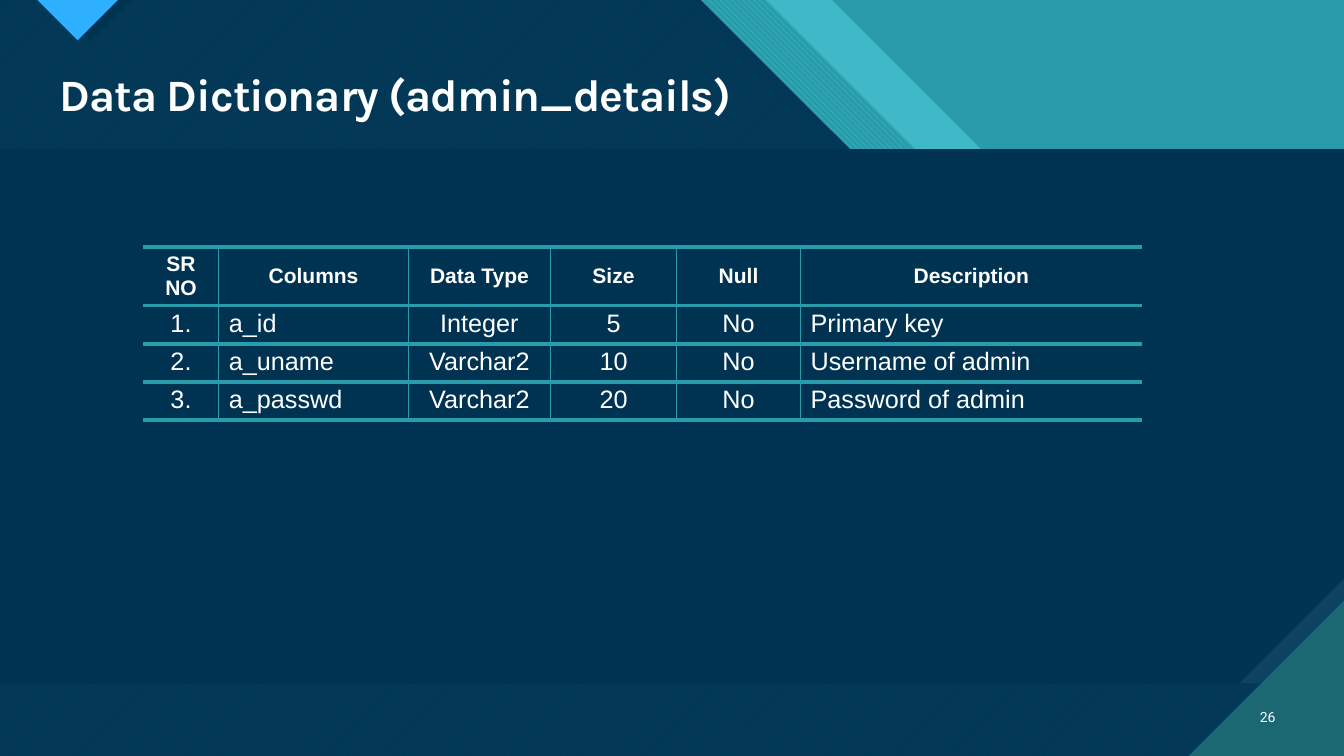
from dataclasses import dataclass

from lxml import etree
from pptx import Presentation
from pptx.dml.color import RGBColor
from pptx.enum.dml import MSO_PATTERN
from pptx.enum.text import MSO_ANCHOR, PP_ALIGN
from pptx.oxml.ns import qn
from pptx.util import Pt

PX = 9144  # EMU per px, 100 px to the inch
WIDTH, HEIGHT = 1333, 750
LEFT, CENTER, RIGHT = PP_ALIGN.LEFT, PP_ALIGN.CENTER, PP_ALIGN.RIGHT
TOP, MIDDLE = MSO_ANCHOR.TOP, MSO_ANCHOR.MIDDLE
DOWN_STRIPES = MSO_PATTERN.WIDE_DOWNWARD_DIAGONAL
UP_STRIPES = MSO_PATTERN.WIDE_UPWARD_DIAGONAL

WHITE, TEAL, AQUA = "FFFFFF", "299CAB", "47C3D3"
NAVY, STEEL, GREEN, BLUE = "003352", "0C4360", "1B6872", "2FAFFF"


@dataclass
class Area:
    """A filled outline on the slide background."""
    points: list[tuple[int, int]]
    color: str
    opacity: int = 100
    pattern: object = None
    back_color: str = ""


@dataclass
class Column:
    width: int
    align: object


def rgb(color: str) -> RGBColor:
    return RGBColor.from_string(color)


def header_layer(edge: int) -> list[tuple[int, int]]:
    """Slide-wide outline whose top right is cut away from x = edge."""
    notch = edge + 297
    corner = 297 + WIDTH - notch - 112
    return [(0, 0), (edge, 0), (notch, 297), (notch + 112, 297),
            (WIDTH, corner), (WIDTH, HEIGHT), (0, HEIGHT)]


def draw_area(slide, area: Area) -> None:
    start, *others = area.points
    builder = slide.shapes.build_freeform(*start, scale=PX)
    builder.add_line_segments(others, close=True)
    shape = builder.convert_to_shape()
    shape.shadow.inherit = False
    shape.line.fill.background()
    if area.pattern is not None:
        shape.fill.patterned()
        shape.fill.pattern = area.pattern
        shape.fill.fore_color.rgb = rgb(area.color)
        shape.fill.back_color.rgb = rgb(area.back_color)
        return
    shape.fill.solid()
    shape.fill.fore_color.rgb = rgb(area.color)
    if area.opacity < 100:
        color = shape._element.spPr.find(".//" + qn("a:srgbClr"))
        etree.SubElement(color, qn("a:alpha"), val=str(area.opacity * 1000))


def place(shape, left: int, top: int, width: int, height: int) -> None:
    shape.left, shape.top = left * PX, top * PX
    shape.width, shape.height = width * PX, height * PX


def write(frame, text: str, font: str, size: int, bold: bool, align) -> None:
    frame.text = text
    frame.word_wrap = True
    para = frame.paragraphs[0]
    para.alignment = align
    span = para.runs[0]
    span.font.name, span.font.size, span.font.bold = font, Pt(size), bold
    span.font.color.rgb = rgb(WHITE)


def set_border(cell, index: int, side: str, points: int) -> None:
    """Draw one cell side; zero points hides it."""
    line = etree.Element(qn(f"a:ln{side}"), w=str(Pt(points)))
    if points:
        fill = etree.SubElement(line, qn("a:solidFill"))
        etree.SubElement(fill, qn("a:srgbClr"), val=TEAL)
    else:
        etree.SubElement(line, qn("a:noFill"))
    cell._tc.get_or_add_tcPr().insert(index, line)


def draw_table(slide, left: int, top: int, columns: list[Column],
               heights: list[int], rows: list[list[str]]) -> None:
    width = sum(column.width for column in columns)
    frame = slide.shapes.add_table(len(rows), len(columns), left * PX, top * PX,
                                   width * PX, sum(heights) * PX)
    table = frame.table
    table.first_row = table.horz_banding = False
    for table_column, column in zip(table.columns, columns):
        table_column.width = column.width * PX
    for r, (texts, height) in enumerate(zip(rows, heights)):
        table.rows[r].height = height * PX
        header = r == 0
        for c, (text, column) in enumerate(zip(texts, columns)):
            cell = table.cell(r, c)
            cell.margin_top = cell.margin_bottom = 4 * PX
            cell.vertical_anchor = MIDDLE if header else TOP
            write(cell.text_frame, text, "Arial", 15 if header else 18, header,
                  CENTER if header else column.align)
            cell.fill.background()
            borders = {"L": int(c > 0), "R": int(c < len(columns) - 1), "T": 3, "B": 3}
            for index, (side, points) in enumerate(borders.items()):
                set_border(cell, index, side, points)


AREAS = [
    # Layered header and dark ground
    Area(header_layer(825), AQUA, opacity=74),
    Area(header_layer(760), AQUA, pattern=DOWN_STRIPES, back_color=TEAL),
    Area(header_layer(695), AQUA, pattern=UP_STRIPES, back_color=GREEN),
    Area(header_layer(695), NAVY, opacity=90),
    # Top marker with its shade
    Area([(48, 0), (131, 0), (90, 41)], NAVY),
    Area([(37, 0), (117, 0), (77, 40)], BLUE),
    # Content panel with a cut corner
    Area([(0, 148), (WIDTH, 148), (WIDTH, 678), (0, 678)], STEEL),
    Area([(0, 148), (WIDTH, 148), (WIDTH, 574), (1229, 678), (0, 678)], NAVY),
    # Page number corner
    Area([(1179, HEIGHT), (WIDTH, HEIGHT), (WIDTH, 596)], GREEN),
]

COLUMNS = [Column(75, CENTER), Column(188, LEFT), Column(141, CENTER),
           Column(125, CENTER), Column(123, CENTER), Column(339, LEFT)]
ROWS = [
    ["SR NO", "Columns", "Data Type", "Size", "Null", "Description"],
    ["1.", "a_id", "Integer", "5", "No", "Primary key"],
    ["2.", "a_uname", "Varchar2", "10", "No", "Username of admin"],
    ["3.", "a_passwd", "Varchar2", "20", "No", "Password of admin"],
]


def main() -> None:
    deck = Presentation()
    deck.slide_width, deck.slide_height = WIDTH * PX, HEIGHT * PX
    page = deck.slides.add_slide(deck.slide_layouts[5])
    page.background.fill.solid()
    page.background.fill.fore_color.rgb = rgb(TEAL)

    for area in AREAS:
        draw_area(page, area)

    # Title, brought in front of the background areas
    title = page.shapes.title
    page.shapes._spTree.append(title._element)
    place(title, 49, 67, 1226, 59)
    write(title.text_frame, "Data Dictionary (admin_details)", "Karla", 32, True, LEFT)
    title.text_frame.vertical_anchor = MIDDLE
    para = title.text_frame.paragraphs[0]
    para.line_spacing = 0.9
    para.runs[0].font._element.set("spc", "-70")

    # Page number
    number = page.shapes.add_textbox(1231 * PX, 691 * PX, 44 * PX, 40 * PX)
    write(number.text_frame, "26", "Roboto", 10, False, RIGHT)
    number.text_frame.vertical_anchor = MIDDLE

    draw_table(page, 142, 245, COLUMNS, [56, 38, 38, 38], ROWS)
    deck.save("out.pptx")


if __name__ == "__main__":
    main()
